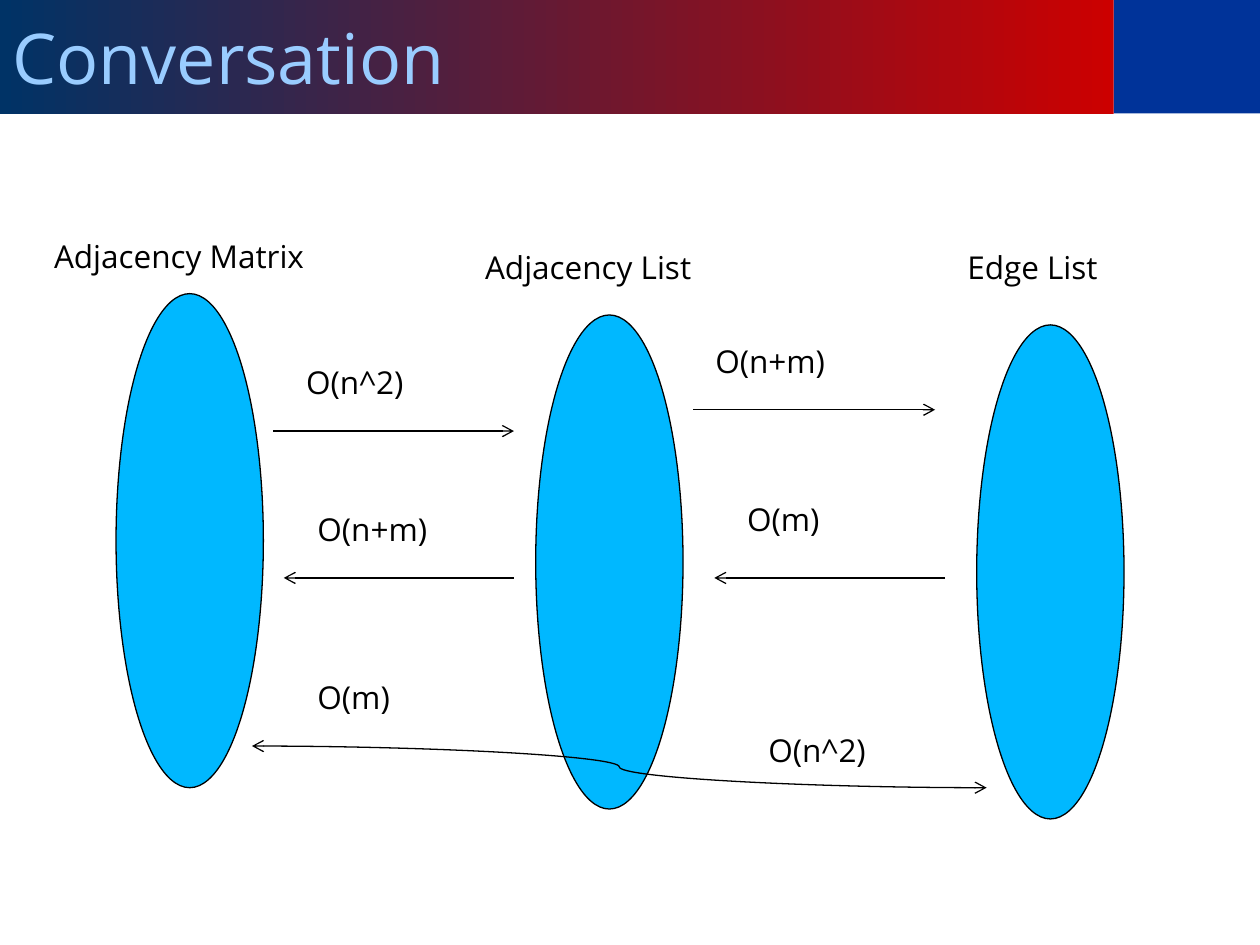
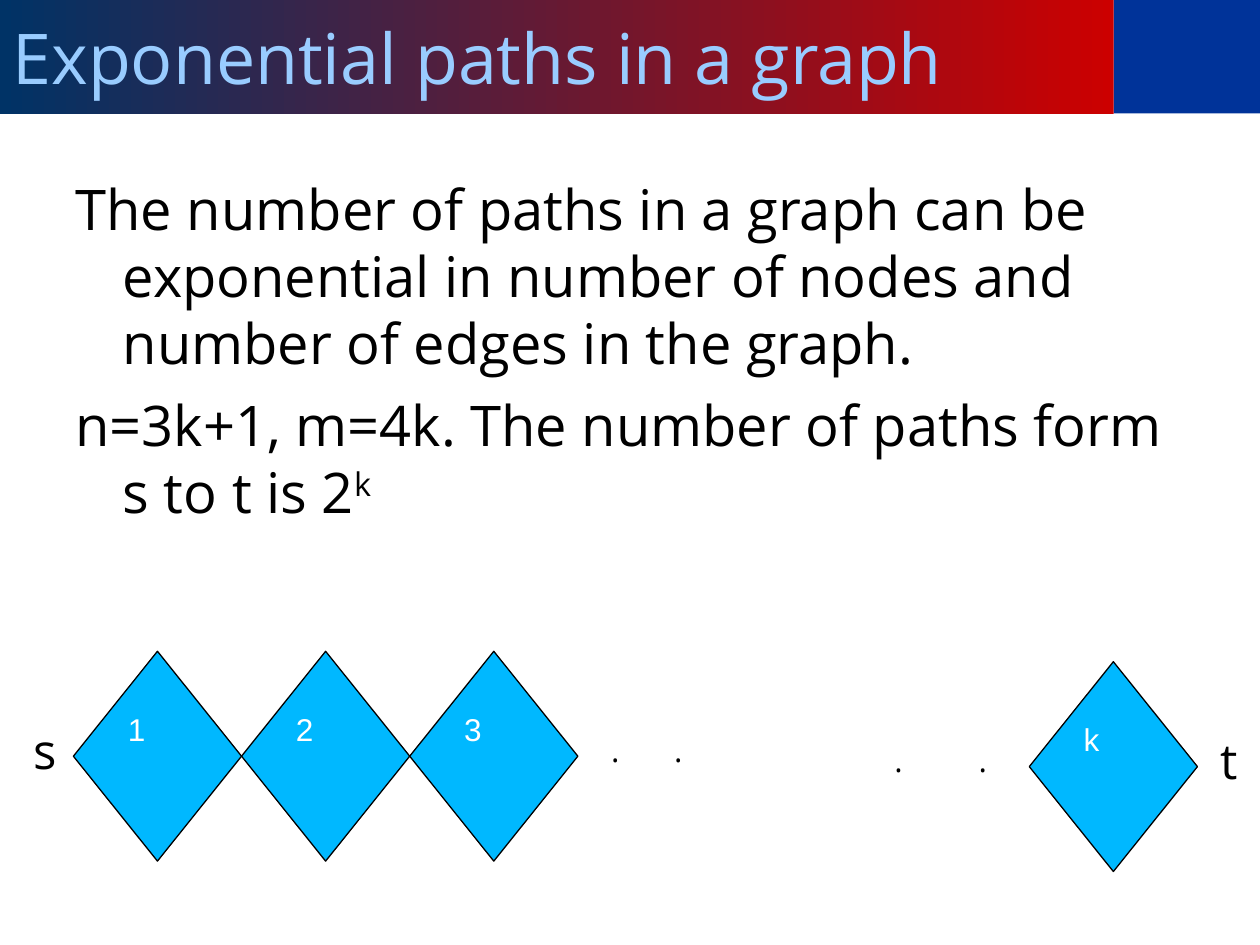
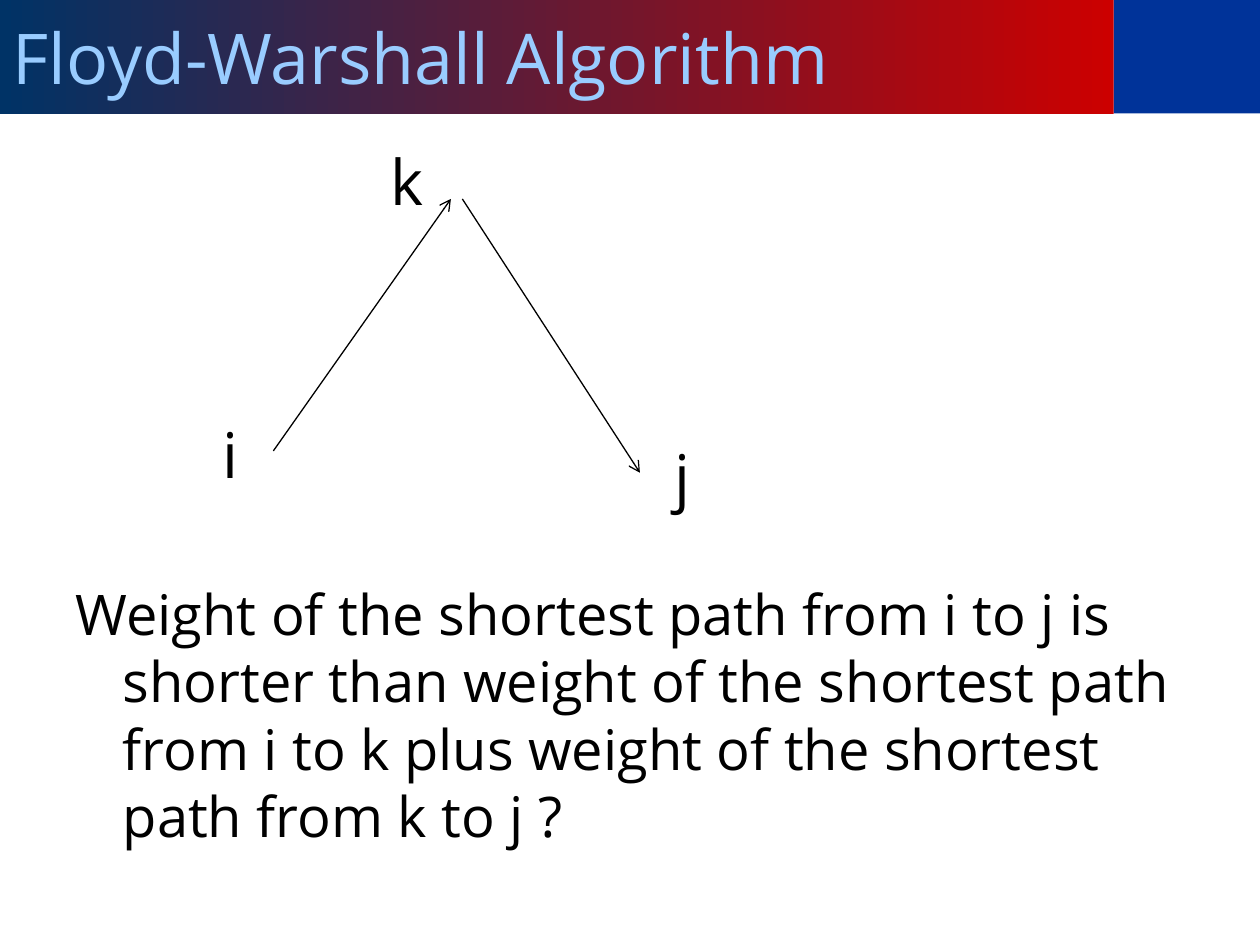
from pptx import Presentation
from pptx.dml.color import RGBColor
from pptx.enum.dml import MSO_THEME_COLOR
from pptx.enum.shapes import MSO_CONNECTOR, MSO_SHAPE
from pptx.enum.text import MSO_ANCHOR, MSO_AUTO_SIZE, PP_ALIGN
from pptx.oxml.ns import qn
from pptx.util import Cm, Pt
from lxml import etree

RECTANGLE, ELLIPSE, DIAMOND = MSO_SHAPE.RECTANGLE, MSO_SHAPE.OVAL, MSO_SHAPE.DIAMOND
STRAIGHT, CURVE = MSO_CONNECTOR.STRAIGHT, MSO_CONNECTOR.CURVE
LEFT, TOP, MIDDLE = PP_ALIGN.LEFT, MSO_ANCHOR.TOP, MSO_ANCHOR.MIDDLE
NO_FIT = MSO_AUTO_SIZE.NONE

RED = RGBColor(0xCC, 0x00, 0x00)
NAVY = RGBColor(0x00, 0x33, 0x66)
BLUE = RGBColor(0x00, 0x33, 0x99)
PALE_BLUE = RGBColor(0x99, 0xCC, 0xFF)
SKY = RGBColor(0x00, 0xB8, 0xFF)
BLACK = RGBColor(0x00, 0x00, 0x00)
WHITE = RGBColor(0xFF, 0xFF, 0xFF)

TEXT_FONT, SHAPE_FONT = "Open Sans", "Arial"
SLIDE_WIDTH, SLIDE_HEIGHT = 25.4, 19.05
BAND_WIDTH, BAND_HEIGHT = 22.45, 2.29
BODY_LEFT, BODY_WIDTH, BODY_BOTTOM = 1.27, 22.86, 17.02
HANGING = 0.95
TITLE_ONLY, TITLE_AND_BODY = 5, 1


def set_font(para, size, color, name=TEXT_FONT):
    para.font.name = name
    para.font.size = Pt(size)
    para.font.color.rgb = color


def place(shape, left, top, width, height):
    shape.left, shape.top = Cm(left), Cm(top)
    shape.width, shape.height = Cm(width), Cm(height)


def add_master_corner(deck):
    page = deck.slides[0]
    corner = page.shapes.add_shape(
        RECTANGLE, Cm(BAND_WIDTH), 0, Cm(SLIDE_WIDTH - BAND_WIDTH), Cm(BAND_HEIGHT))
    corner.shadow.inherit = False
    corner.fill.solid()
    corner.fill.fore_color.rgb = BLUE
    corner.line.fill.background()
    corner.element.nvSpPr.cNvPr.set("id", "20")
    deck.slide_master.shapes.element.insert(2, corner.element)


def add_page(deck, layout, title):
    page = deck.slides.add_slide(deck.slide_layouts[layout])
    band = page.shapes.title
    place(band, 0, 0, BAND_WIDTH, BAND_HEIGHT)
    band.fill.gradient()
    band.fill.gradient_angle = 180
    for stop, color in zip(band.fill.gradient_stops, (RED, NAVY)):
        stop.color.rgb = color
    frame = band.text_frame
    frame.text = title
    frame.auto_size = NO_FIT
    frame.vertical_anchor = MIDDLE
    para = frame.paragraphs[0]
    para.alignment = LEFT
    set_font(para, 40, PALE_BLUE)
    return page


def add_body(page, top, texts):
    body = page.placeholders[1]
    place(body, BODY_LEFT, top, BODY_WIDTH, BODY_BOTTOM - top)
    frame = body.text_frame
    frame.text = "\n".join(texts)
    frame.auto_size = NO_FIT
    for para in frame.paragraphs:
        para.space_before = Pt(8)
        set_font(para, 32, BLACK)
        props = para._p.get_or_add_pPr()
        props.set("marL", str(Cm(HANGING)))
        props.set("indent", str(-Cm(HANGING)))
        props.insert_element_before(
            etree.Element(qn("a:buNone")), "a:tabLst", "a:defRPr", "a:extLst")
    return frame


def add_label(page, text, left, top, width, height=1.02, size=18):
    box = page.shapes.add_textbox(Cm(left), Cm(top), Cm(width), Cm(height))
    box.text_frame.word_wrap = True
    box.text_frame.text = text
    set_font(box.text_frame.paragraphs[0], size, BLACK)


def add_node(page, kind, left, top, width, height, text=""):
    node = page.shapes.add_shape(kind, Cm(left), Cm(top), Cm(width), Cm(height))
    node.shadow.inherit = False
    node.fill.solid()
    node.fill.fore_color.rgb = SKY
    node.line.color.rgb = BLACK
    node.line.width = Pt(0.75)
    if text:
        frame = node.text_frame
        frame.text = text
        frame.vertical_anchor = TOP
        frame.paragraphs[0].alignment = LEFT
        set_font(frame.paragraphs[0], 18, WHITE, SHAPE_FONT)


def add_arrow(page, x1, y1, x2, y2, kind=STRAIGHT, ends=("tailEnd",)):
    arrow = page.shapes.add_connector(kind, Cm(x1), Cm(y1), Cm(x2), Cm(y2))
    arrow.line.color.rgb = BLACK
    arrow.line.width = Pt(0.75)
    for end in ends:
        etree.SubElement(arrow.line._get_or_add_ln(), qn("a:" + end), type="arrow")
    etree.SubElement(arrow.element.spPr, qn("a:effectLst"))


def draw_conversions(page, left, top):
    for x, y in ((1.5, 1.27), (9.96, 1.7), (18.85, 1.9)):
        add_node(page, ELLIPSE, left + x, top + y, 2.97, 9.96)
    for text, x, y, width in (("Adjacency Matrix", 0, 0, 6.02),
                              ("Adjacency List", 8.69, 0.23, 5.28),
                              ("Edge List", 18.41, 0.23, 3.81)):
        add_label(page, text, left + x, top + y, width)
    for x1, x2, y in ((4.67, 9.52, 4.04), (13.13, 18.01, 3.61),
                      (9.52, 4.88, 7), (18.21, 13.56, 7)):
        add_arrow(page, left + x1, top + y, left + x2, top + y)
    add_arrow(page, left + 4.24, top + 10.39, left + 19.05, top + 11.23,
              CURVE, ("headEnd", "tailEnd"))
    for cost, x, y in (("O(n^2)", 5.08, 2.54), ("O(n+m)", 5.31, 5.51),
                       ("O(m)", 5.31, 8.89), ("O(n+m)", 13.33, 2.13),
                       ("O(m)", 13.97, 5.31), ("O(n^2)", 14.4, 9.96)):
        add_label(page, cost, left + x, top + y, 3.81)


def draw_diamond_chain(page, left, top):
    width, height, drop = 3.39, 4.23, 0.21
    for index, text in enumerate("123"):
        add_node(page, DIAMOND, left + 1.05 + index * width, top, width, height, text)
    add_node(page, DIAMOND, left + 20.32, top + drop, width, height, "k")
    add_label(page, "s", left, top + 1.27, 1.04, 1.45, 28)
    add_label(page, "t", left + 23.93, top + 1.27 + drop, 0.91, 1.45, 28)
    for x, y in ((11.64, 0), (12.91, 0), (17.35, drop), (19.05, drop)):
        add_label(page, ".", left + x, top + 1.48 + y, 0.74)


def draw_triangle(page, left, top):
    for text, x, y, width in (("i", 0, 5.52, 0.86), ("j", 9.1, 5.95, 0.97),
                              ("k", 3.38, 0, 1.27)):
        add_label(page, text, left + x, top + y, width, 1.8, 36)
    add_arrow(page, left + 1.27, top + 6.35, left + 4.85, top + 1.27)
    add_arrow(page, left + 5.08, top + 1.27, left + 8.66, top + 6.79)


def build_conversation(deck):
    page = add_page(deck, TITLE_ONLY, "Conversation")
    draw_conversions(page, 0.84, 4.65)


def build_exponential_paths(deck):
    page = add_page(deck, TITLE_AND_BODY, "Exponential paths in a graph")
    frame = add_body(page, 3.39, (
        "The number of paths in a graph can be exponential in number of nodes "
        "and number of edges in the graph.",
        "n=3k+1, m=4k. The number of paths form s to t is 2"))
    exponent = frame.paragraphs[1].add_run()
    exponent.text = "k"
    exponent.font._element.set("baseline", "30000")
    draw_diamond_chain(page, 0.43, 13.13)


def build_floyd_warshall(deck):
    page = add_page(deck, TITLE_AND_BODY, "Floyd-Warshall Algorithm")
    add_body(page, 11.56, (
        "Weight of the shortest path from i to j is shorter than weight of the "
        "shortest path from i to k plus weight of the shortest path from k to j ?",))
    draw_triangle(page, 4.24, 2.74)


deck = Presentation()
deck.slide_width, deck.slide_height = Cm(SLIDE_WIDTH), Cm(SLIDE_HEIGHT)
build_conversation(deck)
build_exponential_paths(deck)
build_floyd_warshall(deck)
add_master_corner(deck)
deck.save("out.pptx")
